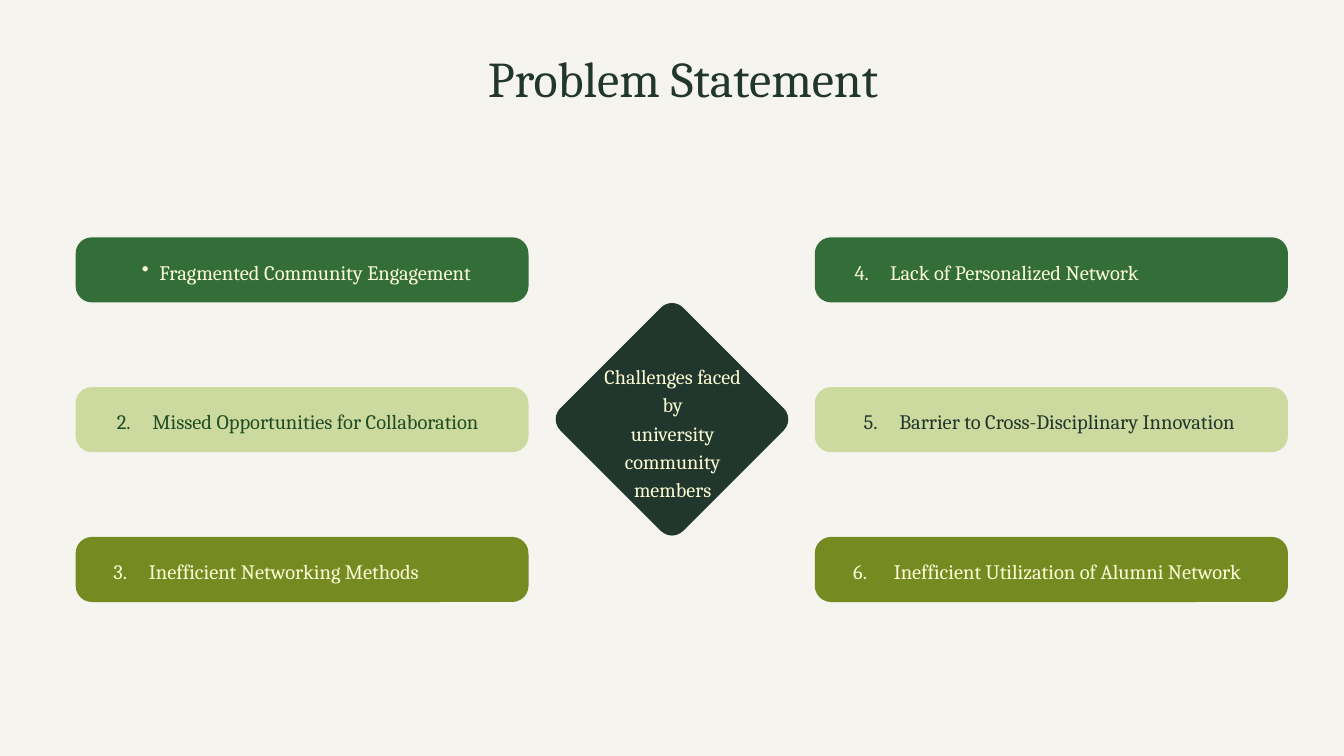
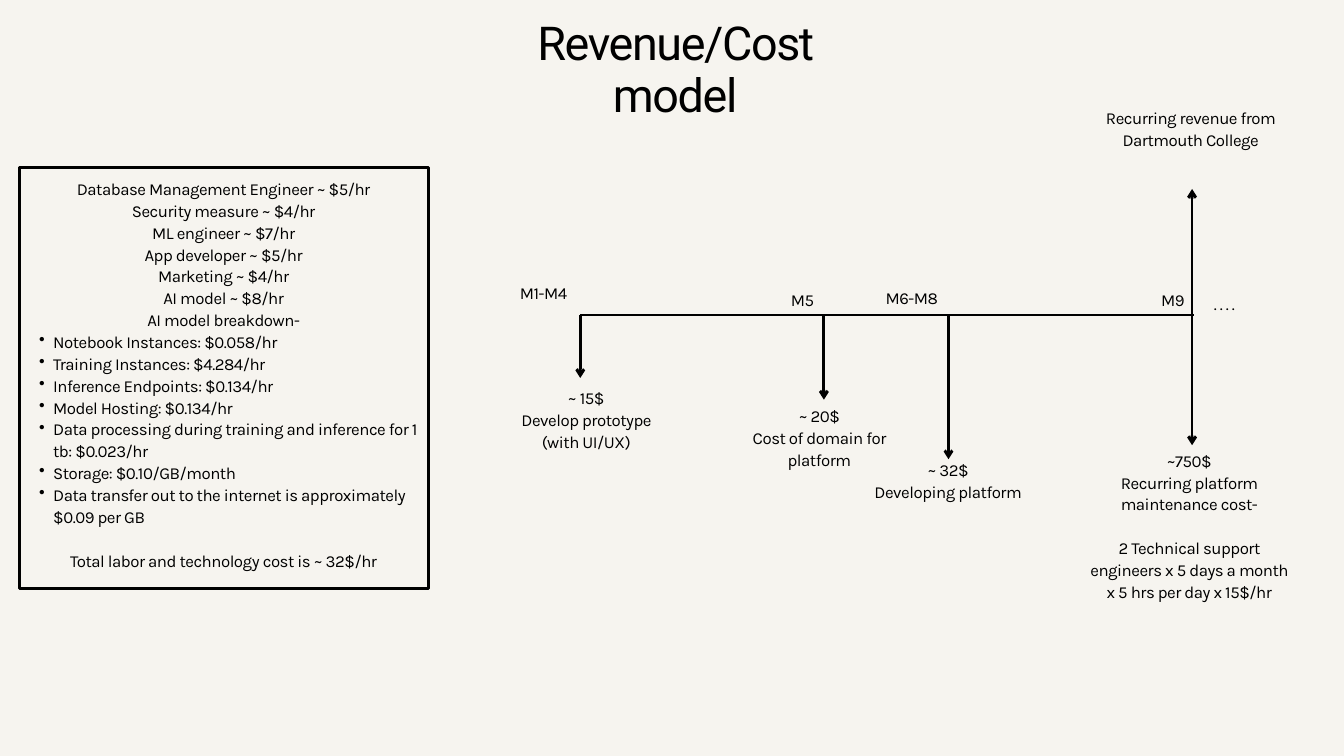
from collections import namedtuple
from lxml.etree import SubElement
from pptx import Presentation
from pptx.dml.color import RGBColor
from pptx.enum.shapes import MSO_CONNECTOR, MSO_SHAPE
from pptx.enum.text import MSO_ANCHOR, PP_ALIGN
from pptx.oxml.ns import qn
from pptx.util import Pt

PX = 9525
Style = namedtuple("Style", "face size line track", defaults=[0])
Row = namedtuple("Row", "text mark left hang gap", defaults=["", 0, 0, 0])


class Theme:
    paper = RGBColor.from_string("F6F4EF")
    dark = RGBColor.from_string("21362C")
    green = RGBColor.from_string("336D38")
    olive = RGBColor.from_string("758B21")
    pale = RGBColor.from_string("CDDA9F")
    forest = RGBColor.from_string("204D24")
    cream = RGBColor.from_string("FBFCD4")
    black = RGBColor.from_string("000000")
    title = Style("Cambria", 53.6, 75)
    label = Style("Cambria", 22, 30.8)
    core = Style("Cambria", 21.7, 30.3)
    head = Style("Roboto", 50, 55, -150)
    body = Style("Karla", 18, 23.4, -50)
    stroke = 3


def write(frame, rows, style, ink, align=PP_ALIGN.CENTER, pad=(0, 0, 0)):
    frame.word_wrap = True
    frame.margin_left, frame.margin_top, frame.margin_right = [n * PX for n in pad]
    frame.margin_bottom = 0
    for i, row in enumerate(rows):
        para = frame.paragraphs[0] if i == 0 else frame.add_paragraph()
        para.text = row.text
        para.alignment = PP_ALIGN.LEFT if row.mark else align
        para.line_spacing = Pt(style.line)
        if row.gap:
            para.space_before = Pt(row.gap)
        props = para._p.get_or_add_pPr()
        if row.mark:
            props.set("marL", str(row.left * PX))
            props.set("indent", str(-row.hang * PX))
            if row.mark == "•":
                SubElement(props, qn("a:buChar"), char=row.mark)
            else:
                SubElement(props, qn("a:buAutoNum"), type="arabicPeriod", startAt=row.mark)
        font = para.font
        font.name, font.size = style.face, Pt(style.size)
        font.color.rgb = ink
        if style.track:
            props.find(qn("a:defRPr")).set("spc", str(style.track))


def block(slide, kind, area, fill=None):
    shape = slide.shapes.add_shape(kind, *[n * PX for n in area])
    shape.shadow.inherit = False
    if fill is None:
        shape.fill.background()
        shape.line.color.rgb = Theme.black
        shape.line.width = Pt(Theme.stroke)
    else:
        shape.fill.solid()
        shape.fill.fore_color.rgb = fill
        shape.line.fill.background()
    return shape


deck = Presentation()
deck.slide_width, deck.slide_height = 1920 * PX, 1080 * PX
pages = [deck.slides.add_slide(deck.slide_layouts[6]) for _ in range(2)]
for page in pages:
    page.background.fill.solid()
    page.background.fill.fore_color.rgb = Theme.paper
issue, model = pages

name = issue.shapes.add_textbox(*[n * PX for n in (697, 54, 735, 97)])
write(name.text_frame, [Row("Problem Statement")], Theme.title, Theme.dark, PP_ALIGN.LEFT)

fills = [Theme.green, Theme.pale, Theme.olive]
sides = [
    (108, 647, Theme.forest, [
        Row("Fragmented Community Engagement", "•", 113, 25),
        Row("Missed Opportunities for Collaboration", "2", 103, 51),
        Row("Inefficient Networking Methods", "3", 98, 51),
    ]),
    (1164, 676, Theme.dark, [
        Row("Lack of Personalized Network", "4", 101, 51),
        Row("Barrier to Cross-Disciplinary Innovation", "5", 114, 51),
        Row("Inefficient Utilization of Alumni Network", "6", 106, 58),
    ]),
]
for left, width, deep, rows in sides:
    for i, (fill, row) in enumerate(zip(fills, rows)):
        bar = block(issue, MSO_SHAPE.ROUNDED_RECTANGLE, (left, 339 + 214 * i, width, 93), fill)
        bar.adjustments[0] = 0.25
        ink = deep if fill == Theme.pale else Theme.cream
        write(bar.text_frame, [row], Theme.label, ink)

gem = block(issue, MSO_SHAPE.ROUNDED_RECTANGLE, (836, 475, 248, 248), Theme.dark)
gem.adjustments[0] = 0.09
gem.rotation = 45
note = issue.shapes.add_textbox(*[n * PX for n in (850, 515, 222, 200)])
write(note.text_frame, [Row("Challenges faced by"), Row("university community members")],
      Theme.core, Theme.cream)

axis = 450
lines = [(829, axis, 1706, axis)]
lines += [(x, axis, x, end) for x, end in
          [(829, 540), (1177, 571), (1355, 656), (1703, 270), (1703, 636)]]
for line in lines:
    link = model.shapes.add_connector(MSO_CONNECTOR.STRAIGHT, *[n * PX for n in line])
    link.line.color.rgb = Theme.black
    link.line.width = Pt(Theme.stroke)
    if line[1] != line[3]:
        SubElement(link.line._get_or_add_ln(), qn("a:tailEnd"), type="arrow")
    SubElement(link._element.spPr, qn("a:effectLst"))

rates = [Row(text) for text in [
    "Database Management Engineer ~ $5/hr",
    "Security measure ~ $4/hr",
    "ML engineer ~ $7/hr",
    "App developer ~ $5/hr",
    "Marketing ~ $4/hr",
    "AI model ~ $8/hr",
    "AI model breakdown-",
]]
rates += [Row(text, "•", 41, 20) for text in [
    "Notebook Instances: $0.058/hr",
    "Training Instances: $4.284/hr",
    "Inference Endpoints: $0.134/hr",
    "Model Hosting: $0.134/hr",
    "Data processing during training and inference for 1 tb: $0.023/hr",
    "Storage: $0.10/GB/month",
    "Data transfer out to the internet is approximately $0.09 per GB",
]]
rates.append(Row("Total labor and technology cost is ~ 32$/hr", gap=Theme.body.line))
panel = block(model, MSO_SHAPE.RECTANGLE, (28, 239, 584, 602))
panel.text_frame.vertical_anchor = MSO_ANCHOR.TOP
write(panel.text_frame, rates, Theme.body, Theme.black, pad=(7, 14, 8))

name = model.shapes.add_textbox(*[n * PX for n in (703, 27, 523, 150)])
write(name.text_frame, [Row("Revenue/Cost model")], Theme.head, Theme.black)

notes = [
    ((722, 401, 109, 30), [Row("M1-M4")]),
    ((1119, 411, 55, 30), [Row("M5")]),
    ((1248, 408, 109, 30), [Row("M6-M8")]),
    ((1648, 411, 55, 30), [Row("M9")]),
    ((1707, 417, 84, 30), [Row(". . . .")]),
    ((738, 552, 199, 123), [Row("~ 15$"), Row("Develop prototype (with UI/UX)")]),
    ((1071, 577, 199, 91), [Row("~ 20$"), Row("Cost of domain for platform")]),
    ((1247, 655, 215, 91), [Row("~ 32$"), Row("Developing platform")]),
    ((1556, 152, 290, 60), [Row("Recurring revenue from Dartmouth College")]),
    ((1554, 641, 290, 247), [
        Row("~750$"),
        Row("Recurring platform maintenance cost-"),
        Row("2 Technical support engineers x 5 days a month x 5 hrs per day x 15$/hr",
            gap=Theme.body.line),
    ]),
]
for area, rows in notes:
    note = model.shapes.add_textbox(*[n * PX for n in area])
    write(note.text_frame, rows, Theme.body, Theme.black)

deck.save("out.pptx")
